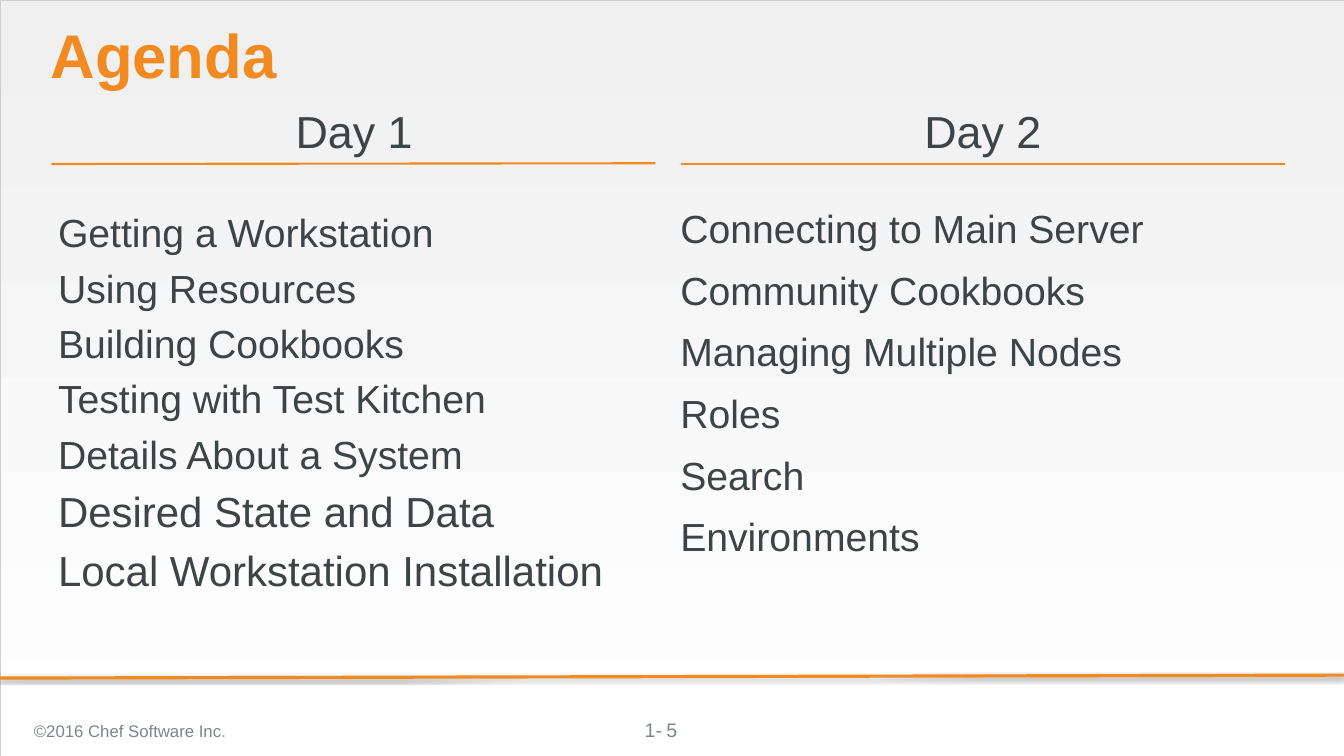
from lxml import etree
from pptx import Presentation
from pptx.dml.color import RGBColor
from pptx.enum.shapes import MSO_CONNECTOR, MSO_SHAPE
from pptx.enum.text import MSO_ANCHOR, PP_ALIGN
from pptx.oxml import parse_xml
from pptx.oxml.ns import nsdecls, qn
from pptx.util import Pt

LEFT, CENTER = PP_ALIGN.LEFT, PP_ALIGN.CENTER
TOP, MIDDLE = MSO_ANCHOR.TOP, MSO_ANCHOR.MIDDLE
STRAIGHT, RECT = MSO_CONNECTOR.STRAIGHT, MSO_SHAPE.RECTANGLE
W, H = 1280.16, 720
ORANGE, DARK, GRAY = "F18B21", "3E4346", "7D868C"
SHADOW = (
    f'<a:effectLst {nsdecls("a")}><a:outerShdw blurRad="39370" dist="22860" '
    'dir="5400000" rotWithShape="0"><a:srgbClr val="000000">'
    '<a:alpha val="35000"/></a:srgbClr></a:outerShdw></a:effectLst>'
)


def rgb(value):
    return RGBColor.from_string(value)


class Deck:
    """Holds the style and the current slide."""

    font = "Arial"

    def __init__(self, prs):
        self.s = prs.slides.add_slide(prs.slide_layouts[6])

    def background(self, start, end):
        fill = self.s.background.fill
        fill.gradient()
        fill.gradient_angle = 270
        for stop, color, position in zip(fill.gradient_stops, (start, end), (0, 1)):
            stop.color.rgb = rgb(color)
            stop.position = position

    def frame(self, color, width):
        sp = self.s.shapes.add_shape(RECT, 0, 0, Pt(W), Pt(H))
        sp.shadow.inherit = False
        sp.fill.background()
        sp.line.color.rgb = rgb(color)
        sp.line.width = Pt(width)

    def line(self, x1, y1, x2, y2, width, shadow=False):
        sp = self.s.shapes.add_connector(STRAIGHT, Pt(x1), Pt(y1), Pt(x2), Pt(y2))
        sp.line.color.rgb = rgb(ORANGE)
        sp.line.width = Pt(width)
        props = sp._element.spPr
        if shadow:
            props.append(parse_xml(SHADOW))
        else:
            etree.SubElement(props, qn("a:effectLst"))

    def text(self, box, paragraphs, size, color, bold=False, inset=(0, 0),
             anchor=TOP, **fmt):
        """Each paragraph is a list of (text, overrides) runs."""
        tf = self.s.shapes.add_textbox(*map(Pt, box)).text_frame
        x, y = map(Pt, inset)
        frame = {"word_wrap": True, "vertical_anchor": anchor, "margin_left": x,
                 "margin_right": x, "margin_top": y, "margin_bottom": y}
        for name, value in frame.items():
            setattr(tf, name, value)
        for i, runs in enumerate(paragraphs):
            p = tf.add_paragraph() if i else tf.paragraphs[0]
            for name, value in fmt.items():
                if i or name != "space_before":
                    setattr(p, name, value)
            for words, changes in runs:
                r = p.add_run()
                r.text = words
                style = {"name": self.font, "size": Pt(size), "bold": bold}
                for name, value in (style | changes).items():
                    if name == "color":
                        continue
                    setattr(r.font, name, value)
                r.font.color.rgb = rgb(changes.get("color", color))


def main():
    prs = Presentation()
    prs.slide_width, prs.slide_height = Pt(W), Pt(H)
    deck = Deck(prs)
    deck.background("F0F0F0", "FFFFFF")
    deck.frame("CBCFD1", 0.25)
    deck.line(W, 643, 0, 645.8, 3, shadow=True)

    inset = (7.2, 3.6)
    deck.text((614, 683.3, 55, 22.3), [[("1-", {})]], 18.7, GRAY)
    deck.text((48.2, 23.8, 1175.8, 65.5), [[("Agenda", {})]], 58.7, ORANGE,
              bold=True, line_spacing=0.9)
    deck.text((496, 675.4, 288, 38.2), [[("5", {})]], 18.7, GRAY,
              inset=inset, anchor=MIDDLE, alignment=CENTER)
    deck.text((25.2, 675.4, 447, 40.3),
              [[("©2016 Chef Software Inc", {}), (".", {"color": "929494"})]],
              16, GRAY, inset=inset, anchor=MIDDLE, alignment=LEFT)

    larger = {"size": Pt(40)}
    day1 = [
        ("Getting a Workstation", {}),
        ("Using Resources", {}),
        ("Building Cookbooks", {}),
        ("Testing with Test Kitchen", {}),
        ("Details About a System", {}),
        ("Desired State and Data", larger),
        ("Local Workstation Installation", larger),
    ]
    day2 = ["Connecting to Main Server", "Community Cookbooks",
            "Managing Multiple Nodes", "Roles", "Search", "Environments"]
    deck.text((48.2, 195, 641.5, 552), [[item] for item in day1], 37.3, DARK,
              inset=inset, space_before=Pt(8))
    deck.text((648, 194.5, 576, 553), [[(item, {})] for item in day2], 37.3, DARK,
              space_before=Pt(7), space_after=Pt(7))

    deck.line(49, 156.2, 624.2, 155.5, 2)
    deck.line(648.7, 156.2, 1224, 156.2, 2)
    for x, y, heading in ((46.8, 99, "Day 1"), (645.8, 98.3, "Day 2")):
        deck.text((x, y, 581, 65.5), [[(heading, {})]], 42.7, DARK,
                  alignment=CENTER)
    prs.save("out.pptx")


if __name__ == "__main__":
    main()
